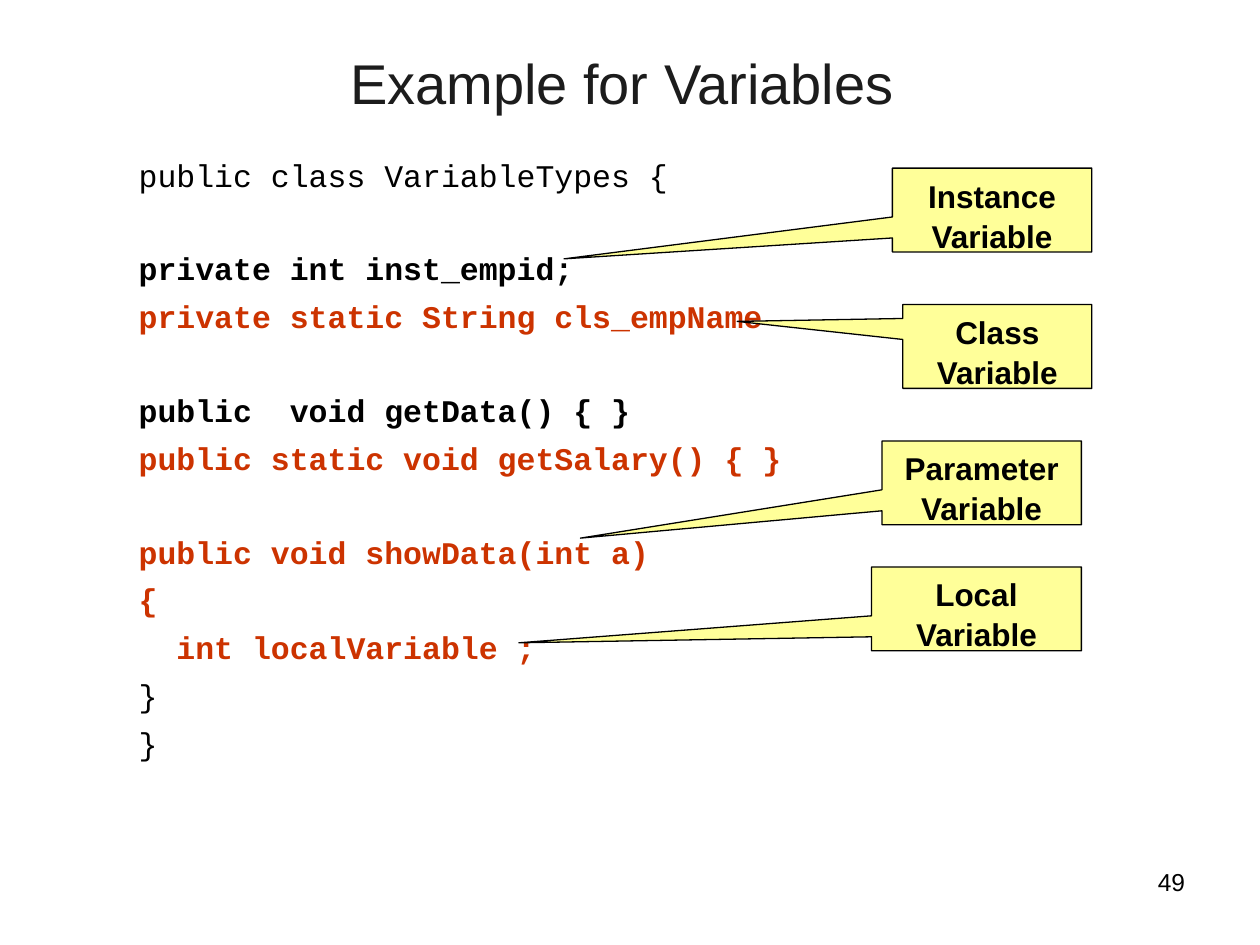
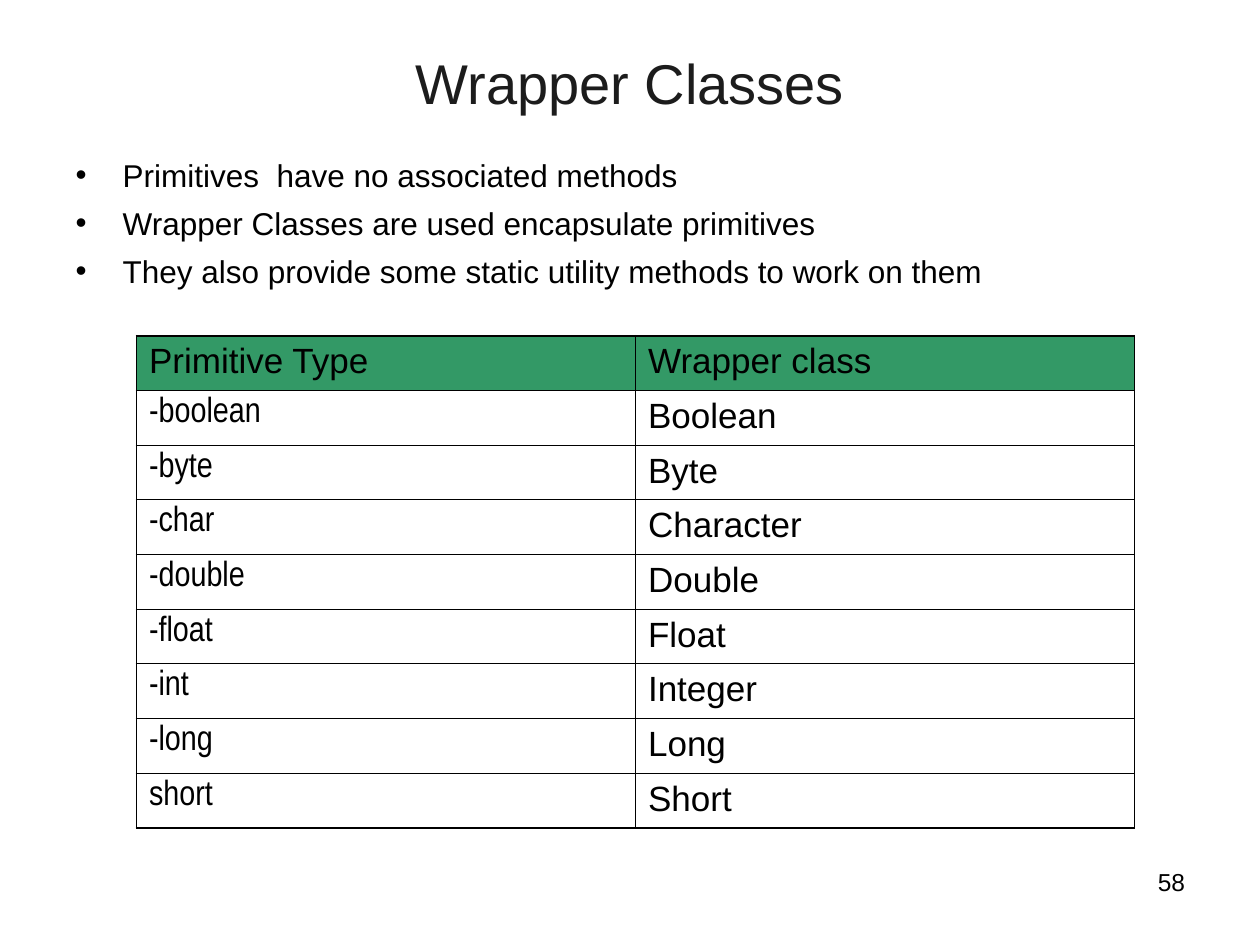
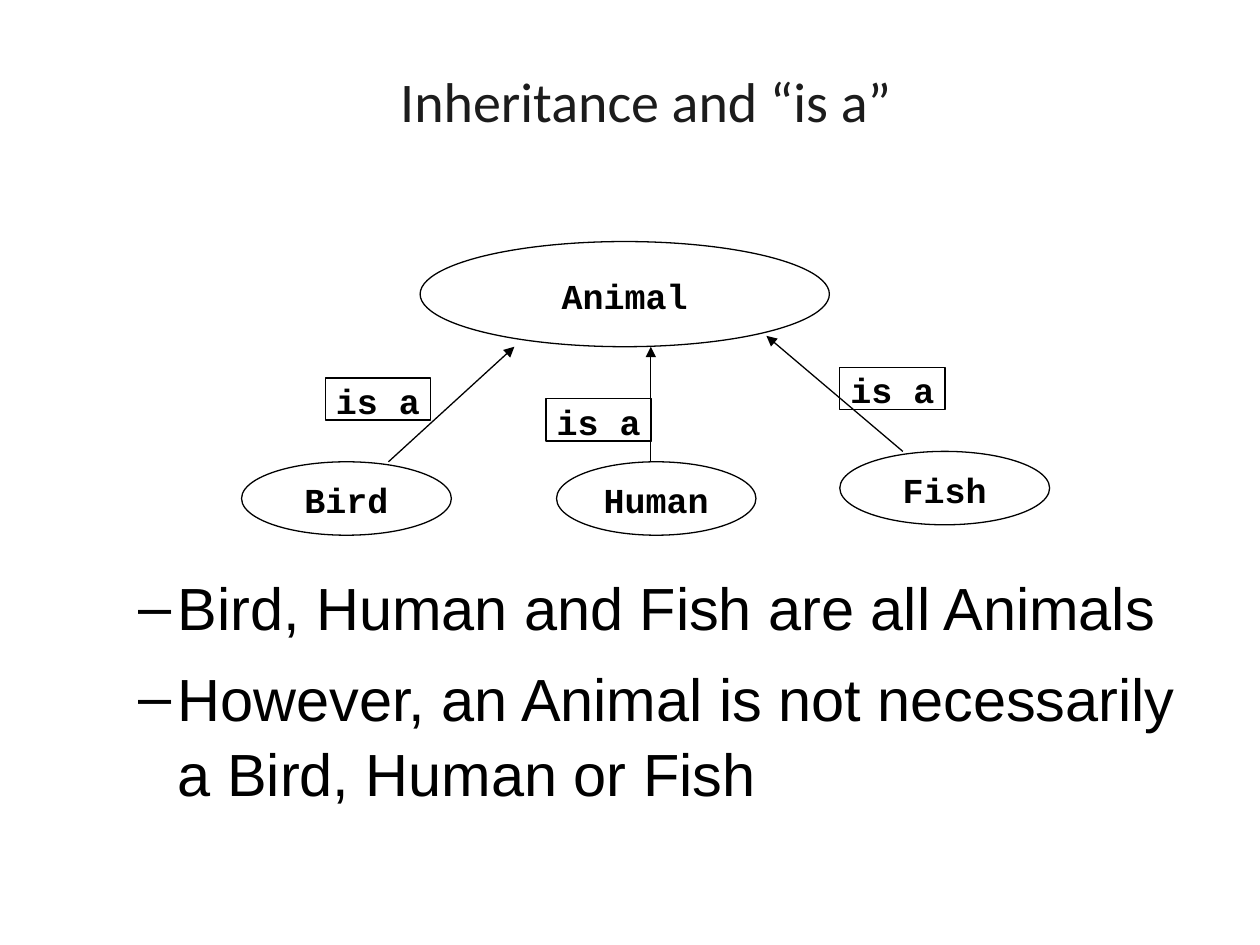
from lxml.etree import SubElement
from pptx import Presentation
from pptx.dml.color import RGBColor
from pptx.enum.shapes import MSO_CONNECTOR, MSO_SHAPE
from pptx.enum.text import MSO_ANCHOR, MSO_AUTO_SIZE, PP_ALIGN
from pptx.oxml.ns import qn
from pptx.util import Cm, Pt

BLACK, TITLE_GREY, RED = "000000", "1C1C1C", "CC3300"
YELLOW, GREEN = "FFFF99", "339966"
SANS, NARROW, MONO, TITLE_ALT = "Arial", "Arial Narrow", "Courier New", "Calibri"
LINE_SPACING = 1.06
TITLE_BOX = (1.27, 0.76, 22.86, 1.78)
PAGE_BOX = (18.21, 17.35, 5.93, 1.32)

# Code lines: text, colour, bold, starts a new group
CODE = [
    ("public class VariableTypes {", BLACK, False, False),
    ("private int inst_empid;", BLACK, True, True),
    ("private static String cls_empName", RED, True, False),
    ("public  void getData() { }", BLACK, True, True),
    ("public static void getSalary() { }", RED, True, False),
    ("public void showData(int a)", RED, True, True),
    ("{", RED, True, False),
    ("  int localVariable ;", RED, True, False),
    ("}", BLACK, False, False),
    ("}", BLACK, False, False),
]
# Callouts: text, box, tip of the tail
CALLOUTS = [
    ("Instance Variable", (17.99, 3.39, 4.02, 1.69), (11.37, 5.22)),
    ("Local Variable", (17.57, 11.43, 4.23, 1.69), (10.46, 12.96)),
    ("Parameter Variable", (17.78, 8.89, 4.02, 1.69), (11.7, 10.85)),
    ("Class Variable", (18.2, 6.14, 3.81, 1.69), (14.86, 6.48)),
]

WRAPPER_POINTS = [
    "Primitives  have no associated methods",
    "Wrapper Classes are used encapsulate primitives",
    "They also provide some static utility methods to work on them",
]
WRAPPERS = [
    ("Primitive Type", "Wrapper class"),
    ("-boolean", "Boolean"),
    ("-byte", "Byte"),
    ("-char", "Character"),
    ("-double", "Double"),
    ("-float", "Float"),
    ("-int", "Integer"),
    ("-long", "Long"),
    ("short", "Short"),
]
TABLE_LEFT, TABLE_TOP, COL_WIDTH, ROW_HEIGHT = 2.75, 6.77, 10.06, 1.1

CLASSES = [
    ("Animal", (8.47, 4.87, 8.25, 2.12)),
    ("Bird", (4.87, 9.31, 4.23, 1.48)),
    ("Human", (11.22, 9.31, 4.02, 1.48)),
    ("Fish", (16.93, 9.1, 4.23, 1.48)),
]
# Start and end of each arrow
ARROWS = [
    ((7.83, 9.31), (10.37, 6.99)),
    ((13.12, 9.31), (13.12, 6.99)),
    ((18.2, 9.1), (15.45, 6.77)),
]
IS_A_CORNERS = [(6.56, 7.62), (11.01, 8.04), (16.93, 7.41)]
IS_A_SIZE = (2.12, 0.85)
INHERITANCE_POINTS = [
    "Bird, Human and Fish are all Animals",
    "However, an Animal is not necessarily a Bird, Human or Fish",
]


def rgb(colour):
    return RGBColor.from_string(colour)


def cms(values):
    return [Cm(v) for v in values]


def place(sp, box):
    sp.left, sp.top, sp.width, sp.height = cms(box)


def add_run(p, text, size, font=SANS, colour=BLACK, bold=False):
    r = p.add_run()
    r.text = text
    r.font.size, r.font.name, r.font.bold = Pt(size), font, bold
    r.font.color.rgb = rgb(colour)


def next_paragraph(tf, index):
    return tf.add_paragraph() if index else tf.paragraphs[0]


def set_indent(p, left, hanging, bullet=None):
    pPr = p._p.get_or_add_pPr()
    pPr.set("marL", str(Cm(left)))
    pPr.set("indent", str(-Cm(hanging)))
    if bullet:
        SubElement(pPr, qn("a:buChar")).set("char", bullet)
    else:
        SubElement(pPr, qn("a:buNone"))


def add_slide(prs, layout, title, box=TITLE_BOX, font=SANS, page=None):
    slide = prs.slides.add_slide(prs.slide_layouts[layout])
    place(slide.shapes.title, box)
    tf = slide.shapes.title.text_frame
    tf.auto_size, tf.vertical_anchor = MSO_AUTO_SIZE.NONE, MSO_ANCHOR.MIDDLE
    p = tf.paragraphs[0]
    p.alignment = PP_ALIGN.CENTER
    add_run(p, title, 32, font, TITLE_GREY)
    if page:
        tf = slide.shapes.add_textbox(*cms(PAGE_BOX)).text_frame
        tf.word_wrap = True
        tf.paragraphs[0].alignment = PP_ALIGN.RIGHT
        add_run(tf.paragraphs[0], page, 14)
    return slide


def body_frame(slide, box):
    sp = slide.placeholders[1]
    place(sp, box)
    sp.text_frame.auto_size = MSO_AUTO_SIZE.NONE
    return sp.text_frame


def fill_list(tf, items, size, bullet, left, hanging, gap, level=0):
    for i, item in enumerate(items):
        p = next_paragraph(tf, i)
        p.level, p.line_spacing = level, LINE_SPACING
        p.space_before = Pt(gap if i else 0)
        set_indent(p, left, hanging, bullet)
        add_run(p, item, size)


def add_label(slide, kind, box, text, size, font, fill=None,
              anchor=MSO_ANCHOR.MIDDLE, wrap=False):
    """Outlined shape with bold centred text."""
    sp = slide.shapes.add_shape(kind, *cms(box))
    sp.shadow.inherit = False
    if fill:
        sp.fill.solid()
        sp.fill.fore_color.rgb = rgb(fill)
    else:
        sp.fill.background()
    sp.line.color.rgb, sp.line.width = rgb(BLACK), Pt(0.75)
    tf = sp.text_frame
    tf.word_wrap, tf.vertical_anchor = wrap, anchor
    p = tf.paragraphs[0]
    p.alignment, p.line_spacing = PP_ALIGN.CENTER, LINE_SPACING
    add_run(p, text, size, font, bold=True)
    return sp


def add_arrow(slide, start, end):
    line = slide.shapes.add_connector(MSO_CONNECTOR.STRAIGHT, *cms(start + end))
    line.line.color.rgb, line.line.width = rgb(BLACK), Pt(0.75)
    SubElement(line.line._get_or_add_ln(), qn("a:tailEnd")).set("type", "triangle")
    SubElement(line._element.spPr, qn("a:effectLst"))


def set_borders(cell, left, right, top, bottom):
    tcPr = cell._tc.get_or_add_tcPr()
    for side, width in zip("LRTB", (left, right, top, bottom)):
        ln = SubElement(tcPr, qn("a:ln" + side))
        ln.set("w", str(Pt(width)))
        fill = SubElement(ln, qn("a:solidFill"))
        SubElement(fill, qn("a:srgbClr")).set("val", BLACK)


def variables_slide(prs):
    slide = add_slide(prs, 1, "Example for Variables ", page="49")
    tf = body_frame(slide, (1.27, 2.97, 22.86, 14.05))
    for i, (text, colour, bold, new_group) in enumerate(CODE):
        p = next_paragraph(tf, i)
        p.level, p.line_spacing = 1, LINE_SPACING
        p.space_before = Pt(30.6 if new_group else 4.5 if i else 0)
        set_indent(p, 1.27, 0)
        add_run(p, text, 18, MONO, colour, bold)
    for text, box, tip in CALLOUTS:
        sp = add_label(slide, MSO_SHAPE.RECTANGULAR_CALLOUT, box, text, 18, SANS,
                       YELLOW, MSO_ANCHOR.TOP, True)
        x, y, w, h = box
        sp.adjustments[0] = (tip[0] - x) / w - 0.5
        sp.adjustments[1] = (tip[1] - y) / h - 0.5


def wrappers_slide(prs):
    slide = add_slide(prs, 1, "Wrapper Classes", page="58")
    tf = body_frame(slide, (1.27, 2.97, 20.32, 3.38))
    fill_list(tf, WRAPPER_POINTS, 18, "•", 0.95, 0.95, 4.5)
    rows, cols = len(WRAPPERS), len(WRAPPERS[0])
    size = (COL_WIDTH * cols, ROW_HEIGHT * rows)
    table = slide.shapes.add_table(rows, cols, *cms((TABLE_LEFT, TABLE_TOP) + size)).table
    table.first_row = table.horz_banding = False
    for col in table.columns:
        col.width = Cm(COL_WIDTH)
    outer, inner = 1.08, 0.45
    for i, names in enumerate(WRAPPERS):
        table.rows[i].height = Cm(ROW_HEIGHT)
        for j, name in enumerate(names):
            cell = table.cell(i, j)
            edges = (j == 0, j == cols - 1, i == 0, i == rows - 1)
            set_borders(cell, *[outer if edge else inner for edge in edges])
            if i == 0:
                cell.fill.solid()
                cell.fill.fore_color.rgb = rgb(GREEN)
            else:
                cell.fill.background()
            font = NARROW if i and j == 0 else SANS
            add_run(cell.text_frame.paragraphs[0], name, 20, font)


def inheritance_slide(prs):
    slide = add_slide(prs, 1, "Inheritance and “is a”", (1.7, 0.64, 22.65, 2.75), TITLE_ALT)
    tf = body_frame(slide, (1.27, 11.3, 22.86, 5.72))
    fill_list(tf, INHERITANCE_POINTS, 34, "–", 2.06, 0.79, 8.5, level=1)
    for name, box in CLASSES:
        add_label(slide, MSO_SHAPE.OVAL, box, name, 20, MONO)
    for start, end in ARROWS:
        add_arrow(slide, start, end)
    for corner in IS_A_CORNERS:
        add_label(slide, MSO_SHAPE.RECTANGLE, corner + IS_A_SIZE, "is a", 20, MONO)


def main():
    prs = Presentation()
    prs.slide_width, prs.slide_height = Cm(25.4), Cm(19.05)
    variables_slide(prs)
    wrappers_slide(prs)
    inheritance_slide(prs)
    prs.save("out.pptx")


if __name__ == "__main__":
    main()
